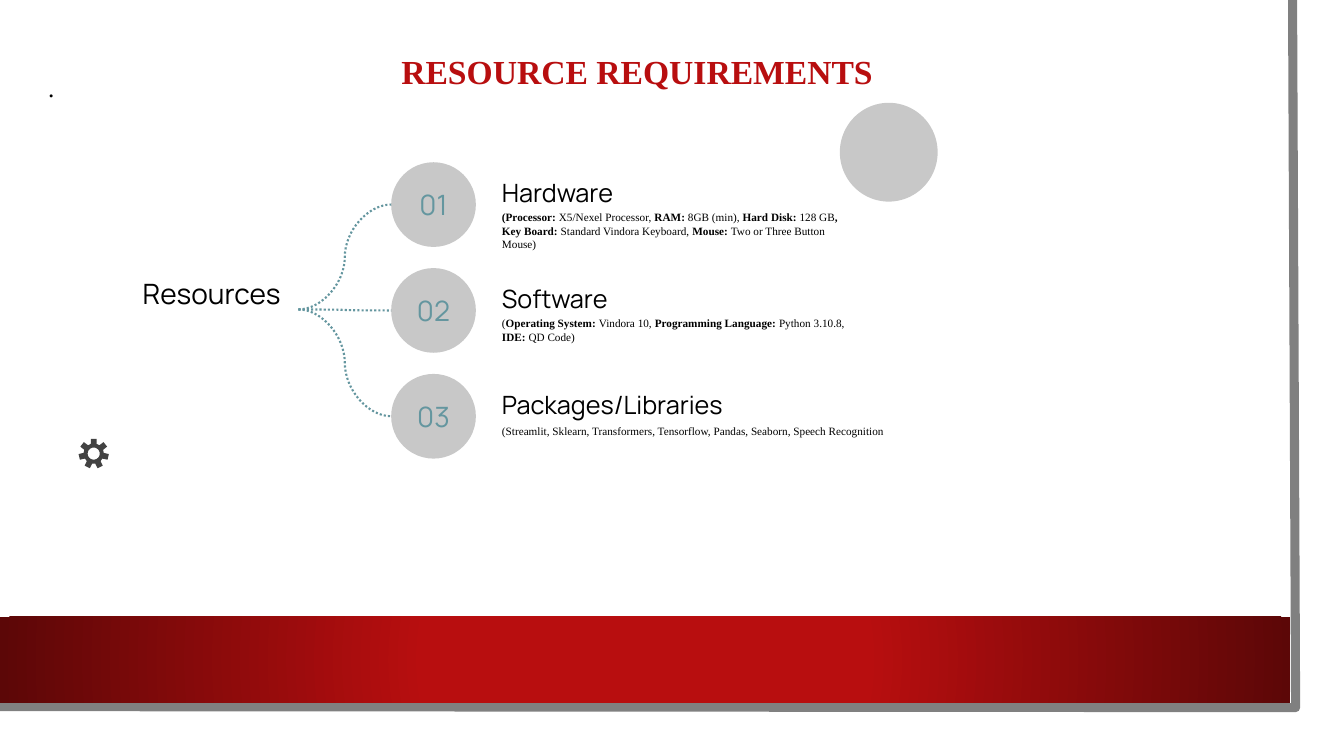
from dataclasses import dataclass
from math import cos, pi, sin

from lxml.etree import SubElement
from pptx import Presentation
from pptx.dml.color import RGBColor
from pptx.enum.dml import MSO_LINE
from pptx.enum.shapes import MSO_CONNECTOR, MSO_SHAPE
from pptx.enum.text import MSO_ANCHOR, MSO_AUTO_SIZE, PP_ALIGN
from pptx.oxml import parse_xml
from pptx.oxml.ns import nsdecls, qn
from pptx.util import Inches, Pt

COLORS = {
    "red": "B80E0F", "dark_red": "5C0707", "teal": "64969F", "disc": "C8C8C8",
    "frame": "808080", "gear": "424242", "text": "000000",
}
SERIF, SANS = "Times New Roman", "Manrope"


@dataclass(frozen=True)
class Resource:
    number: str
    heading: str
    detail: str  # parts between asterisks are bold
    detail_width: float = 3.74
    detail_spacing: float = 1.0


RESOURCES = [
    Resource("01", "Hardware",
             "*(Processor: *X5/Nexel Processor, *RAM: *8GB (min), *Hard Disk: *128 GB"
             "*, Key Board: *Standard Vindora Keyboard, *Mouse: *Two or Three Button Mouse)"),
    Resource("02", "Software",
             "(*Operating System: *Vindora 10, *Programming Language: *Python 3.10.8, "
             "*IDE: *QD Code)"),
    Resource("03", "Packages/Libraries",
             "(Streamlit, Sklearn, Transformers, Tensorflow, Pandas, Seaborn, Speech Recognition",
             4.12, 1.15),
]
ROW_TOP, ROW_PITCH, DISC_SIZE = 1.61, 1.05, 0.84
DISC_LEFT, TEXT_LEFT = 3.88, 4.88
BRANCH_START = (2.96, 3.07)


def rgb(name: str) -> RGBColor:
    return RGBColor.from_string(COLORS[name])


def write(shape, text: str, *, size: float, font: str = SANS, color: str = "text",
          bold: bool = False, align=PP_ALIGN.LEFT, anchor=MSO_ANCHOR.TOP,
          spacing: float = 1.0, inset: float = 0.1, after: float = 0) -> None:
    """Fill a shape with one paragraph; parts between asterisks are bold."""
    frame = shape.text_frame
    frame.word_wrap = True
    frame.auto_size = MSO_AUTO_SIZE.NONE
    frame.vertical_anchor = anchor
    frame.margin_left = frame.margin_right = Inches(0.1)
    frame.margin_top = frame.margin_bottom = Inches(inset)
    paragraph = frame.paragraphs[0]
    paragraph.alignment = align
    paragraph.line_spacing = spacing
    paragraph.space_before, paragraph.space_after = Pt(0), Pt(after)
    for index, part in enumerate(text.split("*")):
        if part:
            run = paragraph.add_run()
            run.text = part
            run.font.size, run.font.name = Pt(size), font
            run.font.bold = bold or index % 2 == 1
            run.font.color.rgb = rgb(color)


def add_text(slide, left: float, top: float, width: float, height: float,
             text: str, **style) -> None:
    box = slide.shapes.add_textbox(Inches(left), Inches(top), Inches(width), Inches(height))
    write(box, text, **style)


def add_plain(slide, kind, left: float, top: float, width: float, height: float,
              color: str):
    shape = slide.shapes.add_shape(
        kind, Inches(left), Inches(top), Inches(width), Inches(height))
    shape.shadow.inherit = False
    shape.fill.solid()
    shape.fill.fore_color.rgb = rgb(color)
    shape.line.fill.background()
    return shape


def add_frame(slide) -> None:
    builder = slide.shapes.build_freeform(Inches(12.82), 0)
    builder.add_line_segments(
        [(Inches(12.85), Inches(7.02)), (Inches(-0.03), Inches(7.01))], close=False)
    edge = builder.convert_to_shape()
    edge.shadow.inherit = False
    edge.fill.background()
    edge.line.color.rgb = rgb("frame")
    edge.line.width = Pt(6.5)


def add_band(slide) -> None:
    band = add_plain(slide, MSO_SHAPE.RECTANGLE, 0, 6.12, 12.8, 0.85, "red")
    properties = band._element.spPr
    gradient = parse_xml(
        f'<a:gradFill {nsdecls("a")} rotWithShape="1"><a:gsLst>'
        f'<a:gs pos="34000"><a:srgbClr val="{COLORS["red"]}"/></a:gs>'
        f'<a:gs pos="100000"><a:srgbClr val="{COLORS["dark_red"]}"/></a:gs></a:gsLst>'
        '<a:path path="circle"><a:fillToRect l="50000" t="50000" r="50000" b="50000"/>'
        '</a:path></a:gradFill>')
    properties.replace(properties.find(qn("a:solidFill")), gradient)


def add_branch(slide, end_x: float, end_y: float) -> None:
    start_x, start_y = BRANCH_START
    branch = slide.shapes.add_connector(
        MSO_CONNECTOR.CURVE, Inches(start_x), Inches(start_y), Inches(end_x), Inches(end_y))
    branch.line.color.rgb = rgb("teal")
    branch.line.width = Pt(1.5)
    branch.line.dash_style = MSO_LINE.ROUND_DOT
    SubElement(branch._element.spPr, qn("a:effectLst"))


def add_gear(slide, center_x: float, center_y: float, teeth: int = 7) -> None:
    def polar(radius: float, degrees: float) -> tuple[int, int]:
        angle = degrees * pi / 180
        return (Inches(center_x + radius * cos(angle)),
                Inches(center_y + radius * sin(angle)))

    tooth = [(0.1, -17), (0.15, -11), (0.15, 11), (0.1, 17)]
    rim = [polar(radius, -90 + 360 * index / teeth + offset)
           for index in range(teeth) for radius, offset in tooth]
    hole = [polar(0.06, -15 * step) for step in range(24)]
    builder = slide.shapes.build_freeform(*rim[0])
    builder.add_line_segments(rim[1:])
    builder.move_to(*hole[0])
    builder.add_line_segments(hole[1:])
    gear = builder.convert_to_shape()
    gear.shadow.inherit = False
    gear.fill.solid()
    gear.fill.fore_color.rgb = rgb("gear")
    gear.line.fill.background()


def add_resource(slide, resource: Resource, top: float) -> None:
    disc = add_plain(slide, MSO_SHAPE.OVAL, DISC_LEFT, top, DISC_SIZE, DISC_SIZE, "disc")
    write(disc, resource.number, size=20, color="teal",
          align=PP_ALIGN.CENTER, anchor=MSO_ANCHOR.MIDDLE)
    add_text(slide, TEXT_LEFT, top - 0.02, 3.74, 0.57, resource.heading,
             size=18, anchor=MSO_ANCHOR.BOTTOM, spacing=1.15)
    add_text(slide, TEXT_LEFT, top + 0.38, resource.detail_width, 0.42, resource.detail,
             size=8, font=SERIF, spacing=resource.detail_spacing)
    add_branch(slide, DISC_LEFT, top + DISC_SIZE / 2)


def main() -> None:
    deck = Presentation()
    deck.slide_width, deck.slide_height = Inches(13.33), Inches(7.5)
    slide = deck.slides.add_slide(deck.slide_layouts[5])

    # Page frame and red band
    add_frame(slide)
    add_band(slide)

    # Title and lone full stop
    title = slide.shapes.title
    title.left, title.top = Inches(3.88), Inches(0.2)
    title.width, title.height = Inches(8.44), Inches(0.78)
    write(title, "RESOURCE REQUIREMENTS", size=24, font=SERIF, color="red",
          bold=True, spacing=1.5)
    add_text(slide, 0.38, 0.65, 12.62, 0.4, ".", size=18, font=SERIF,
             align=PP_ALIGN.JUSTIFY, spacing=1.07, inset=0.05, after=8)

    # Resource tree
    add_text(slide, 1.24, 2.59, 1.72, 0.97, "Resources", size=20,
             align=PP_ALIGN.CENTER, spacing=1.15)
    for row, resource in enumerate(RESOURCES):
        add_resource(slide, resource, ROW_TOP + row * ROW_PITCH)

    # Decorations
    add_gear(slide, 0.93, 4.5)
    add_plain(slide, MSO_SHAPE.OVAL, 8.33, 1.02, 0.97, 0.98, "disc")

    deck.save("out.pptx")


if __name__ == "__main__":
    main()
